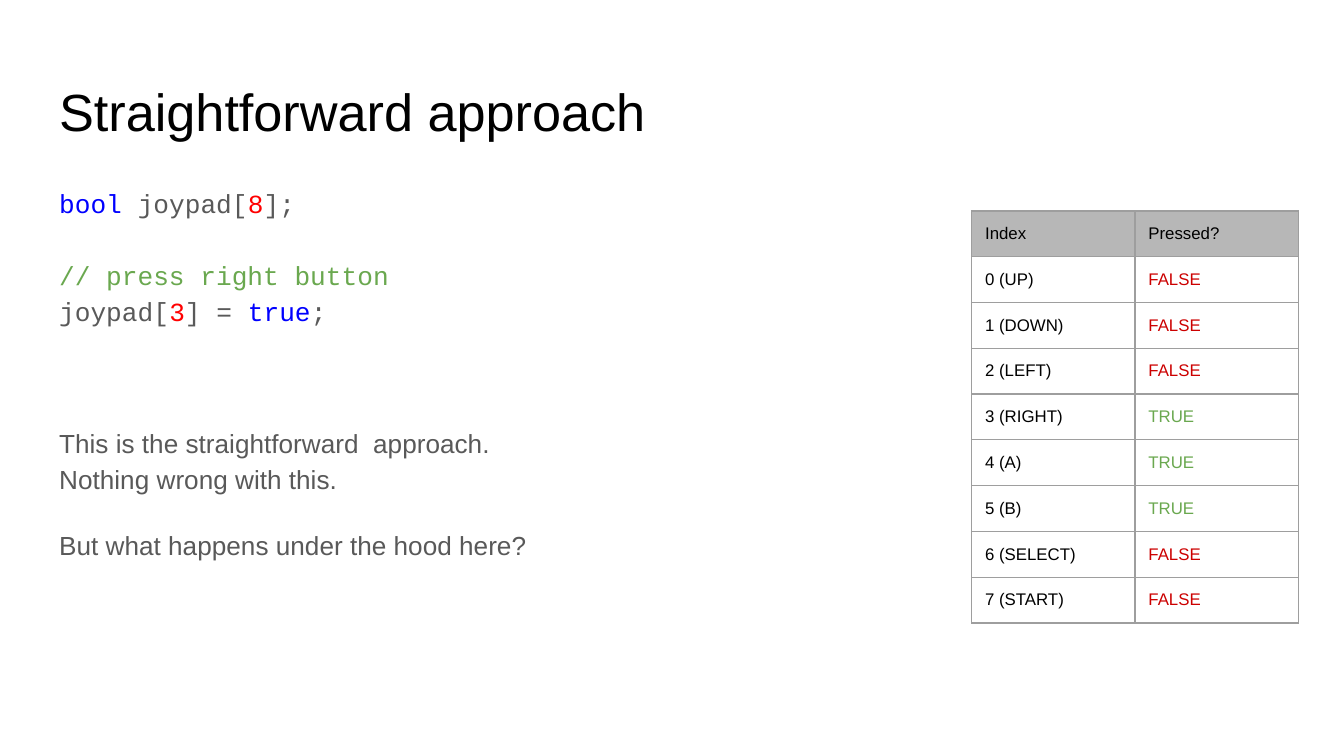
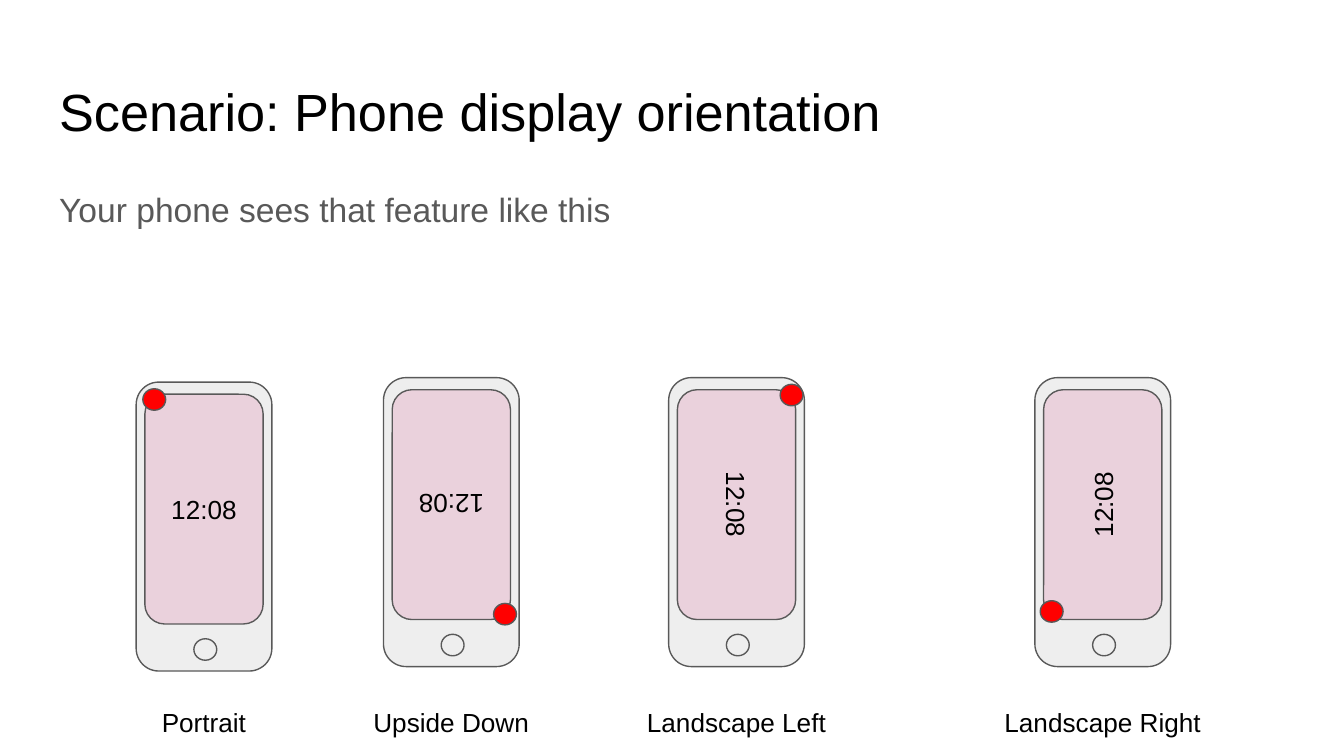
from dataclasses import dataclass

from lxml.etree import SubElement
from pptx import Presentation
from pptx.dml.color import RGBColor
from pptx.enum.shapes import MSO_SHAPE
from pptx.enum.text import MSO_ANCHOR, MSO_AUTO_SIZE, PP_ALIGN
from pptx.oxml.ns import qn
from pptx.util import Inches, Pt


@dataclass(frozen=True)
class Theme:
    """Colours, fonts and type sizes shared by the slides."""
    ink: str = "000000"
    body: str = "595959"
    keyword: str = "0000FF"
    number: str = "FF0000"
    green: str = "6AA84F"
    false: str = "CC0000"
    header: str = "B7B7B7"
    border: str = "9E9E9E"
    casing: str = "EEEEEE"
    screen: str = "EAD1DC"
    camera: str = "FF0000"
    sans: str = "Arial"
    mono: str = "Courier New"
    title_size: int = 28
    lead_size: int = 18
    text_size: int = 14
    table_size: int = 9
    line: float = 0.75


THEME = Theme()
SLIDE_WIDTH = Inches(10)
SLIDE_HEIGHT = SLIDE_WIDTH * 9 // 16
CELL = SLIDE_WIDTH // 100
INSET = CELL


@dataclass(frozen=True)
class Box:
    """A rectangle in grid columns and rows, each 1/100 of the slide width."""
    left: float
    top: float
    width: float
    height: float

    def inner(self, column, row, width, height):
        """Return a box placed relative to this one."""
        return Box(self.left + column, self.top + row, width, height)

    def centred(self, width, height):
        """Return a box of the given size sharing this centre."""
        return self.inner((self.width - width) / 2, (self.height - height) / 2, width, height)

    def lengths(self):
        """Return left, top, width and height in slide units."""
        return [round(v * CELL) for v in (self.left, self.top, self.width, self.height)]


TITLE = Box(3.4, 4.9, 93.2, 6.3)
CODE = Box(3.4, 12.6, 43.7, 37.4)
LEAD = Box(3.4, 12.6, 84.9, 14.5)
BUTTON_TABLE = Box(72.3, 15.7, 24.3, 30.6)
PHONE_SIZE = (10.1, 21.5)

CODE_AND_NOTES = [
    (THEME.mono, 0, [("bool", THEME.keyword), (" joypad[", THEME.body),
                     ("8", THEME.number), ("];", THEME.body)]),
    (THEME.mono, 19.3, [("// press right button", THEME.green)]),
    (THEME.mono, 0, [("joypad[", THEME.body), ("3", THEME.number), ("] = ", THEME.body),
                     ("true", THEME.keyword), (";", THEME.body)]),
    (THEME.sans, 51.5, [("This is the straightforward  approach.", THEME.body)]),
    (THEME.sans, 0, [("Nothing wrong with this.", THEME.body)]),
    (THEME.sans, 16, [("But what happens under the hood here?", THEME.body)]),
]
BUTTONS = ["UP", "DOWN", "LEFT", "RIGHT", "A", "B", "SELECT", "START"]
PRESSED = {"RIGHT", "A", "B"}
ORIENTATIONS = [
    ("Portrait", 10.13, 28.43, 0, (0.5, 0.5), 13.7),
    ("Upside Down", 28.53, 28.1, 180, (8.2, 16.8), 13.7),
    ("Landscape Left", 49.75, 28.1, 90, (8.3, 0.5), 16),
    ("Landscape Right", 77, 28.1, 270, (0.4, 16.6), 17.2),
]


def rgb(colour):
    """Turn a hex colour into a colour object."""
    return RGBColor.from_string(colour)


def write(paragraph, runs, size, font=THEME.sans, align=PP_ALIGN.LEFT):
    """Write coloured runs into a paragraph with one font and size."""
    paragraph.alignment = align
    paragraph.font.name, paragraph.font.size = font, Pt(size)
    for text, colour in runs:
        run = paragraph.add_run()
        run.text = text
        if len(runs) > 1:
            run.font.color.rgb = rgb(colour)
    if len(runs) == 1:
        paragraph.font.color.rgb = rgb(runs[0][1])


def place(holder, box, anchor=MSO_ANCHOR.TOP):
    """Move a text holder to its box and set its frame, which is returned."""
    holder.left, holder.top, holder.width, holder.height = box.lengths()
    frame = holder.text_frame
    frame.word_wrap, frame.auto_size = True, MSO_AUTO_SIZE.NONE
    frame.vertical_anchor = anchor
    frame.margin_left = frame.margin_right = frame.margin_top = frame.margin_bottom = INSET
    return frame


def add_titled_slide(deck, title):
    """Add a slide with its title formatted."""
    slide = deck.slides.add_slide(deck.slide_layouts[1])
    frame = place(slide.shapes.title, TITLE)
    write(frame.paragraphs[0], [(title, THEME.ink)], THEME.title_size)
    return slide


def fill_body(slide, box, paragraphs, size):
    """Write unbulleted paragraphs of font, space before and runs in the body."""
    frame = place(slide.placeholders[1], box)
    for index, (font, space, runs) in enumerate(paragraphs):
        paragraph = frame.add_paragraph() if index else frame.paragraphs[0]
        paragraph.line_spacing, paragraph.space_before = 1.15, Pt(space)
        properties = paragraph._p.get_or_add_pPr()
        properties.set("marL", "0")
        properties.set("indent", "0")
        SubElement(properties, qn("a:buNone"))
        write(paragraph, runs, size, font)


def add_centred_text(slide, box, text, anchor=MSO_ANCHOR.TOP, rotation=0):
    """Add a centred line of text, turned if asked."""
    holder = slide.shapes.add_textbox(*box.lengths())
    frame = place(holder, box, anchor)
    holder.rotation = rotation
    write(frame.paragraphs[0], [(text, THEME.ink)], THEME.text_size, align=PP_ALIGN.CENTER)


def format_cell(cell, text, colour, fill=None):
    """Write a table cell with its borders and fill."""
    cell.margin_left = cell.margin_right = cell.margin_top = cell.margin_bottom = INSET
    properties = cell._tc.get_or_add_tcPr()
    for side in ("lnL", "lnR", "lnT", "lnB"):
        border = SubElement(properties, qn(f"a:{side}"), w=str(Pt(THEME.line)))
        solid = SubElement(border, qn("a:solidFill"))
        SubElement(solid, qn("a:srgbClr"), val=THEME.border)
    if fill:
        cell.fill.solid()
        cell.fill.fore_color.rgb = rgb(fill)
    else:
        cell.fill.background()
    write(cell.text_frame.paragraphs[0], [(text, colour)], THEME.table_size)


def add_button_table(slide, box):
    """Add the table of joypad buttons and their states."""
    table = slide.shapes.add_table(len(BUTTONS) + 1, 2, *box.lengths()).table
    table.first_row = table.horz_banding = False
    for column, heading in enumerate(("Index", "Pressed?")):
        format_cell(table.cell(0, column), heading, THEME.ink, THEME.header)
    for index, button in enumerate(BUTTONS):
        state = ("TRUE", THEME.green) if button in PRESSED else ("FALSE", THEME.false)
        format_cell(table.cell(index + 1, 0), f"{index} ({button})", THEME.ink)
        format_cell(table.cell(index + 1, 1), *state)


def add_phone(slide, box, rotation, camera):
    """Draw a phone with its clock turned and its camera in one corner."""
    screen = box.inner(0.65, 0.9, 8.8, 17.1)
    parts = [
        (MSO_SHAPE.FLOWCHART_ALTERNATE_PROCESS, box, THEME.casing),
        (MSO_SHAPE.ROUNDED_RECTANGLE, screen, THEME.screen),
        (MSO_SHAPE.OVAL, box.inner(4.3, 19.1, 1.7, 1.6), THEME.casing),
        (MSO_SHAPE.OVAL, box.inner(*camera, 1.7, 1.6), THEME.camera),
    ]
    phone = slide.shapes.add_group_shape()
    for preset, part, colour in parts:
        shape = phone.shapes.add_shape(preset, *part.lengths())
        shape.shadow.inherit = False
        shape.fill.solid()
        shape.fill.fore_color.rgb = rgb(colour)
        shape.line.color.rgb = rgb(THEME.body)
        shape.line.width = Pt(THEME.line)
    clock_size = (17.2, 8.8) if rotation % 180 else (10.1, 17.1)
    clock = box.inner(0, 0.9, box.width, screen.height).centred(*clock_size)
    add_centred_text(slide, clock, "12:08", MSO_ANCHOR.MIDDLE, rotation)


def build_approach(deck):
    """Build the slide with the code and the button table."""
    slide = add_titled_slide(deck, "Straightforward approach")
    fill_body(slide, CODE, CODE_AND_NOTES, THEME.text_size)
    add_button_table(slide, BUTTON_TABLE)


def build_orientation(deck):
    """Build the slide with a phone in each orientation."""
    slide = add_titled_slide(deck, "Scenario: Phone display orientation")
    lead = [("Your phone sees that feature like this", THEME.body)]
    fill_body(slide, LEAD, [(THEME.sans, 0, lead)], THEME.lead_size)
    for name, left, top, rotation, camera, label_width in ORIENTATIONS:
        phone = Box(left, top, *PHONE_SIZE)
        add_phone(slide, phone, rotation, camera)
        label = Box(left, 51.6, phone.width, 3.6).centred(label_width, 3.6)
        add_centred_text(slide, label, name)


def main():
    """Build and save the deck."""
    deck = Presentation()
    deck.slide_width, deck.slide_height = SLIDE_WIDTH, SLIDE_HEIGHT
    build_approach(deck)
    build_orientation(deck)
    deck.save("out.pptx")


if __name__ == "__main__":
    main()
